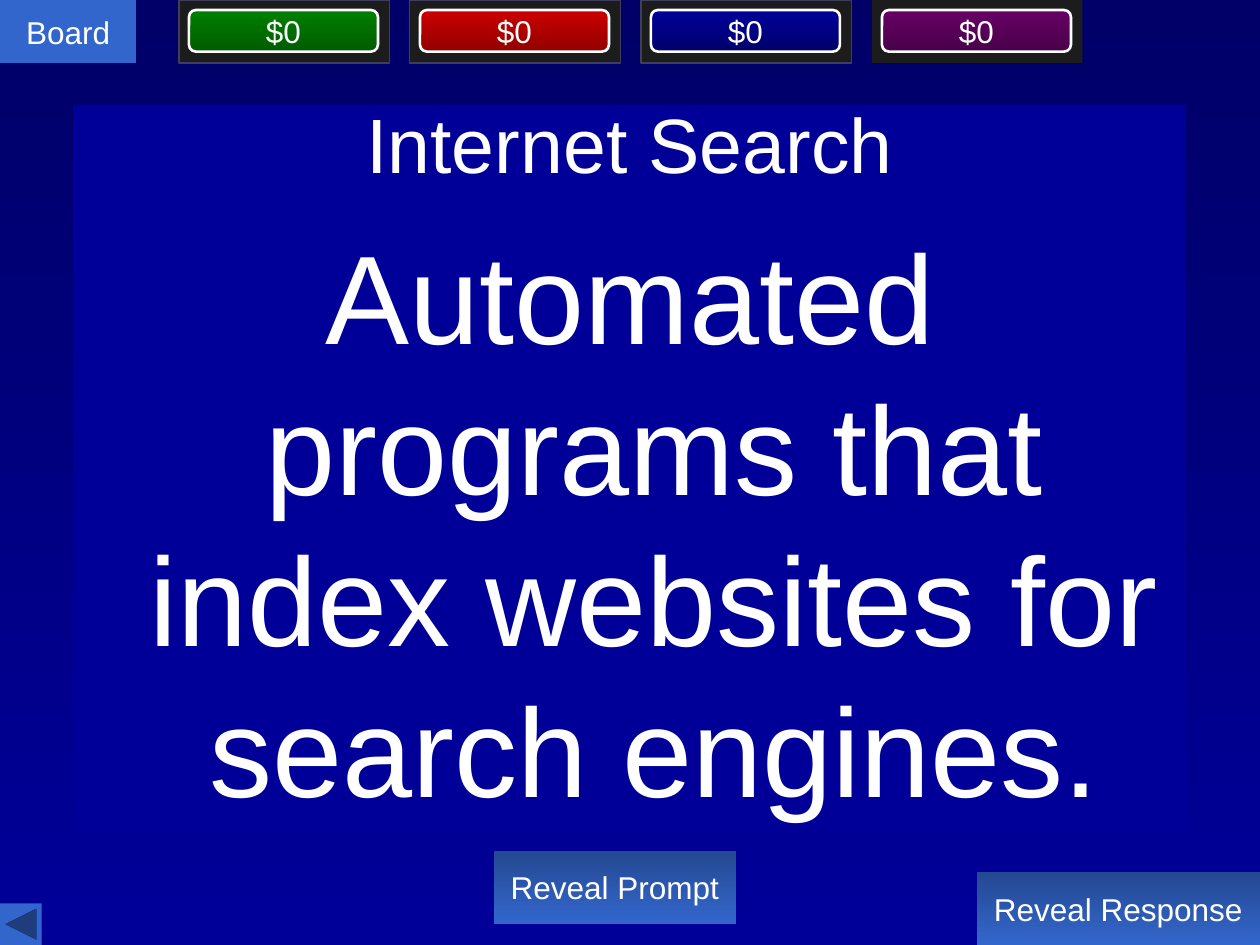
from pptx import Presentation
from pptx.dml.color import RGBColor
from pptx.enum.shapes import MSO_SHAPE
from pptx.enum.text import MSO_ANCHOR, PP_ALIGN
from pptx.util import Inches, Pt


def paint(fill, *colours):
    """Fill with one colour, or with a gradient from top to bottom for two."""
    if len(colours) == 1:
        fill.solid()
        fill.fore_color.rgb = RGBColor.from_string(colours[0])
        return
    fill.gradient()
    fill.gradient_angle = 270
    for stop, colour in zip(fill.gradient_stops, colours):
        stop.color.rgb = RGBColor.from_string(colour)


def add_box(kind, left, top, width, height, colours=(), line=None, text="", size=18, wrap=False):
    """Add a shape, or a text box when kind is None, with centred white text."""
    place = [Inches(value) for value in (left, top, width, height)]
    if kind is None:
        box = page.shapes.add_textbox(*place)
    else:
        box = page.shapes.add_shape(kind, *place)
        box.shadow.inherit = False
        paint(box.fill, *colours)
        if line:
            paint(box.line.fill, line[0])
            box.line.width = Pt(line[1])
        else:
            box.line.fill.background()
    if text:
        frame = box.text_frame
        frame.word_wrap = wrap
        frame.vertical_anchor = MSO_ANCHOR.MIDDLE
        para = frame.paragraphs[0]
        para.alignment = PP_ALIGN.CENTER
        span = para.add_run()
        span.text = text
        span.font.size = Pt(size)
        span.font.name = "Arial"
        paint(span.font.fill, "FFFFFF")
    return box


deck = Presentation()
deck.slide_width, deck.slide_height = Inches(10), Inches(7.5)
page = deck.slides.add_slide(deck.slide_layouts[6])
paint(page.background.fill, "000068", "000099")

# Team scores
panel_line = ("3E3E5C", 0.75)
teams = [
    ("008000", "005C00", panel_line),
    ("CC0000", "920000", panel_line),
    ("000099", "00006D", panel_line),
    ("660066", "490049", None),
]
for index, (upper, lower, line) in enumerate(teams):
    left = 1.42 + index * 5.5 / 3
    add_box(MSO_SHAPE.RECTANGLE, left, 0, 1.67, 0.5, ["1C1C1C"], line)
    add_box(MSO_SHAPE.ROUNDED_RECTANGLE, left + 0.08, 0.08, 1.5, 0.33,
            [upper, lower], ("FFFFFF", 1.5), "$0")

# Navigation
blank_button = MSO_SHAPE.ACTION_BUTTON_CUSTOM
add_box(blank_button, 0, 0, 1.08, 0.5, ["3366CC"], text="Board")
add_box(MSO_SHAPE.ACTION_BUTTON_BACK_OR_PREVIOUS, 0, 7.17, 0.33, 0.33, ["3366CC"])

# Clue
add_box(MSO_SHAPE.RECTANGLE, 0.58, 0.83, 8.83, 5.75, ["000099"])
add_box(None, 0.5, 0.67, 9, 0.92, text="Internet Search", size=44, wrap=True)
clue = add_box(None, 0.5, 1.67, 9, 4.92, size=72, wrap=True,
               text="Automated programs that index websites for search engines.")
clue_para = clue.text_frame.paragraphs[0]
clue_para.line_spacing = Pt(86.4)
properties = clue_para._p.get_or_add_pPr()
properties.set("marL", str(Inches(0.38)))
properties.set("indent", str(Inches(-0.38)))

# Reveal buttons
for label, left, top, width in [
    ("Reveal Response", 7.75, 6.92, 2.25),
    ("Reveal Prompt", 3.92, 6.75, 1.92),
]:
    add_box(blank_button, left, top, width, 0.58, ["244992", "3366CC"], text=label)

deck.save("out.pptx")
